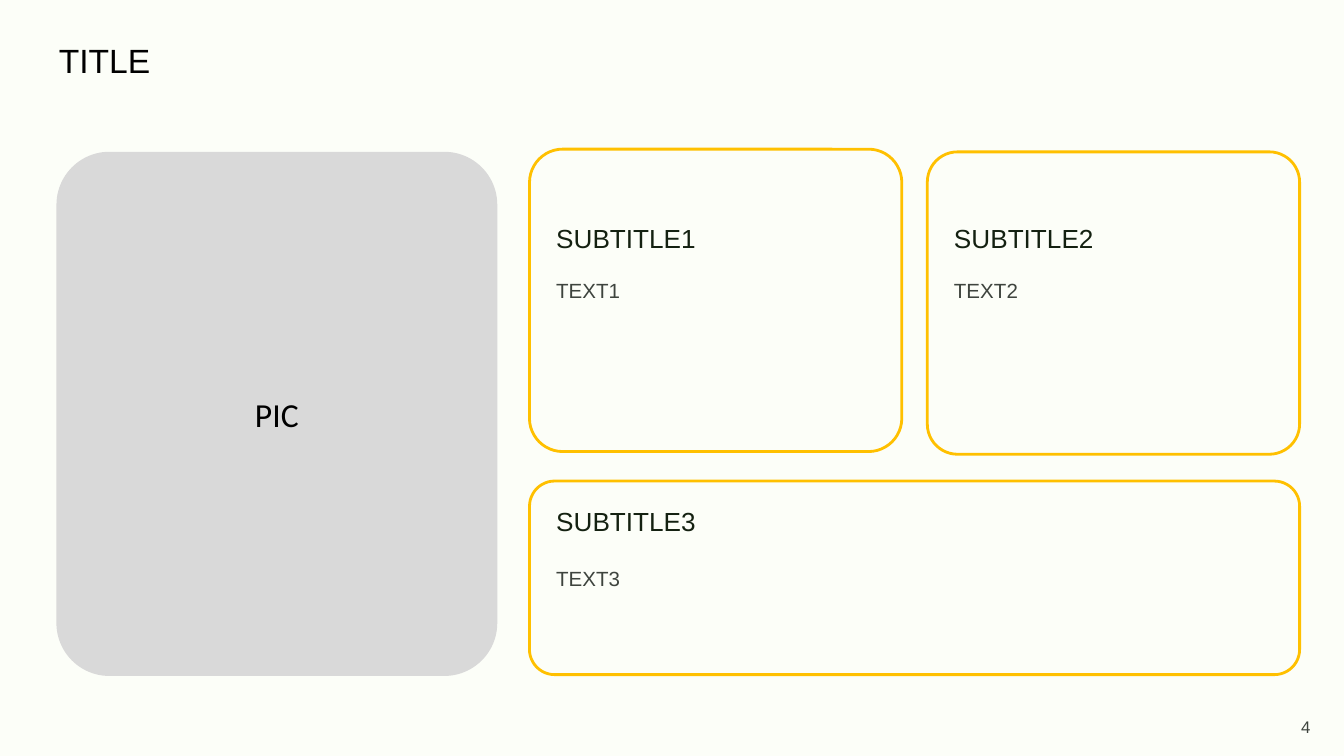
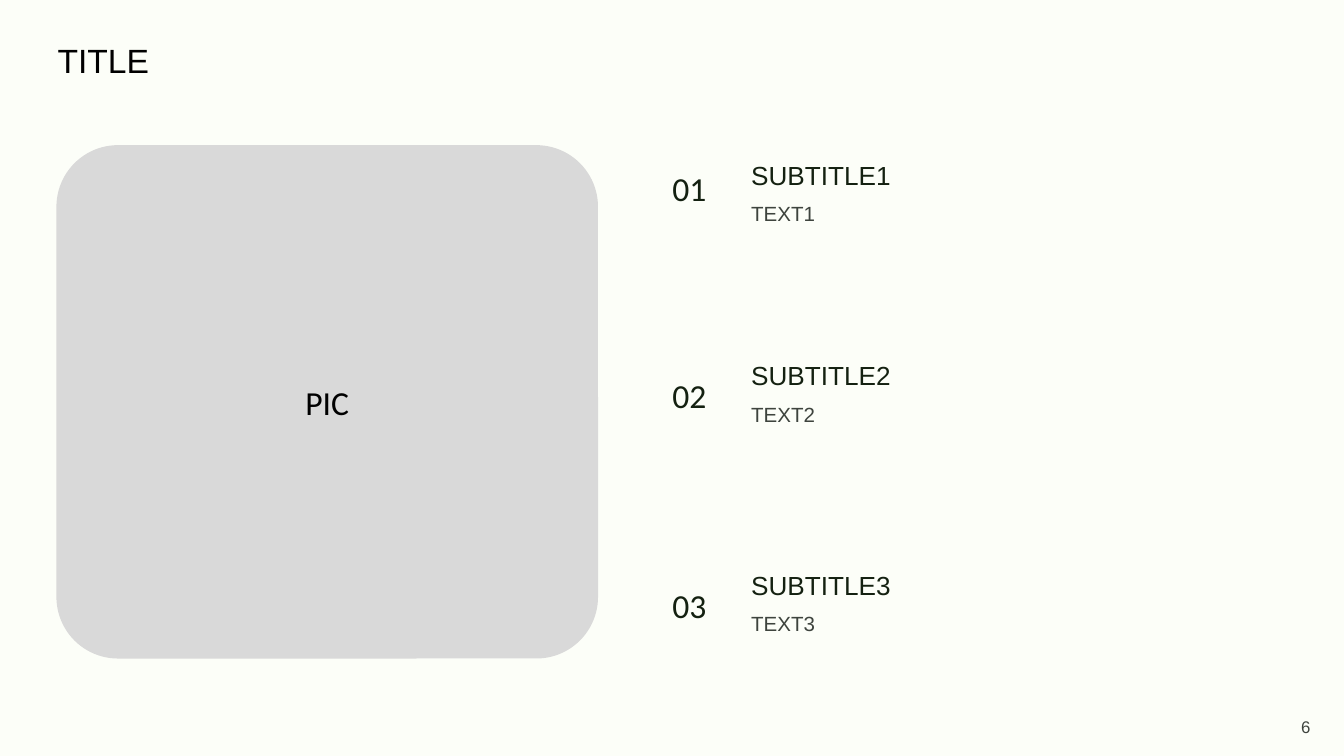
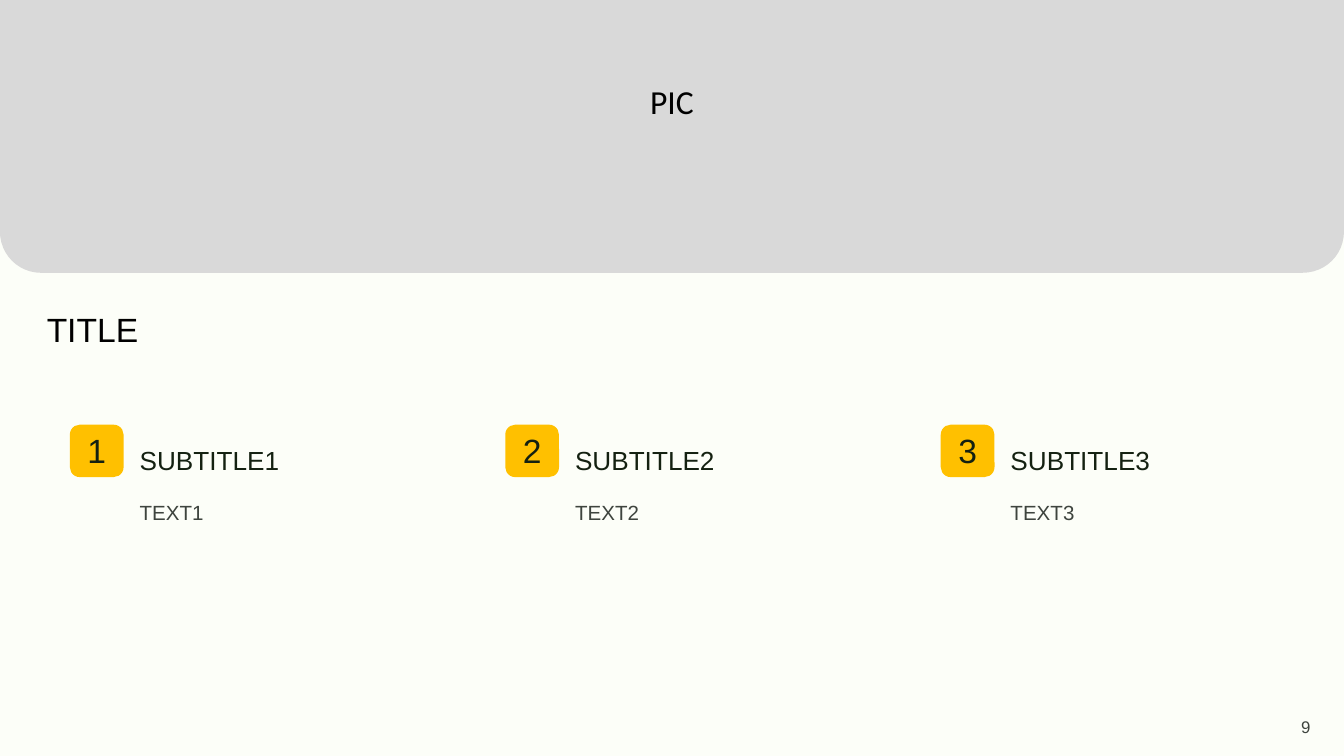
from dataclasses import dataclass

from pptx import Presentation
from pptx.dml.color import RGBColor
from pptx.enum import shapes, text
from pptx.util import Inches, Pt

SHAPE = shapes.MSO_SHAPE
ALIGN = text.PP_ALIGN
ANCHOR = text.MSO_ANCHOR


@dataclass(frozen=True)
class Theme:
    paper: str = "FCFEF8"
    gold: str = "FFC000"
    gray: str = "D9D9D9"
    black: str = "000000"
    dark: str = "142111"
    soft: str = "3E443E"
    sans: str = "Arial"
    label: str = "Calibri"
    big: int = 18
    head: int = 14
    body: int = 11
    small: int = 9
    line: float = 1.5


T = Theme()


def rgb(color):
    return RGBColor.from_string(color)


def write(frame, words, size, color, font=T.sans, align=ALIGN.LEFT,
          anchor=ANCHOR.TOP, grow=False):
    frame.text = words
    frame.word_wrap = True
    frame.vertical_anchor = anchor
    if grow:
        frame.auto_size = text.MSO_AUTO_SIZE.SHAPE_TO_FIT_TEXT
    para = frame.paragraphs[0]
    para.alignment = align
    run = para.runs[0].font
    run.size, run.name = Pt(size), font
    run.color.rgb = rgb(color)


def label(slide, box, words, size, color, **style):
    item = slide.shapes.add_textbox(*map(Inches, box))
    write(item.text_frame, words, size, color, **style)


def block(slide, kind, box, fill=None, line=None, curve=None):
    item = slide.shapes.add_shape(kind, *map(Inches, box))
    item.shadow.inherit = False
    if curve is not None:
        item.adjustments[0] = curve
    if fill:
        item.fill.solid()
        item.fill.fore_color.rgb = rgb(fill)
    else:
        item.fill.background()
    if line:
        item.line.color.rgb = rgb(line)
        item.line.width = Pt(T.line)
    else:
        item.line.fill.background()
    return item


def photo(slide, box):
    """Gray rounded panel that holds the place of a photo."""
    item = block(slide, SHAPE.ROUNDED_RECTANGLE, box, fill=T.gray, curve=0.12)
    write(item.text_frame, "PIC", T.big, T.black, font=T.label,
          align=ALIGN.CENTER, anchor=ANCHOR.MIDDLE)


def topic(slide, num, box, head, drop):
    """Subtitle of height head at the top of box, with its text drop below."""
    left, top, width, height = box
    label(slide, (left, top, width, head), f"SUBTITLE{num}", T.head, T.dark,
          anchor=ANCHOR.BOTTOM)
    label(slide, (left, top + drop, width, height - drop), f"TEXT{num}",
          T.body, T.soft)


def card(slide, num, box, curve, pad, head, drop):
    left, top, width, height = box
    block(slide, SHAPE.ROUNDED_RECTANGLE, box, line=T.gold, curve=curve)
    inner = (left + 0.1, top + pad, width - 0.2, height - pad - 0.1)
    topic(slide, num, inner, head, drop)


def step(slide, num, box):
    left, top, width, height = box
    ring = block(slide, SHAPE.OVAL, (left, top, 0.98, 0.98))
    write(ring.text_frame, f"{num:02}", T.big, T.dark, font=T.label,
          align=ALIGN.CENTER, anchor=ANCHOR.MIDDLE)
    # The first ring sits a little higher beside its subtitle.
    rise = 0.04 if num == 1 else 0.09
    inner = (left + 0.85, top - rise, width - 0.85, height)
    topic(slide, num, inner, 0.6, 0.58)


def column(slide, num, box):
    left, top, width, height = box
    block(slide, SHAPE.ROUNDED_RECTANGLE, (left, top + 0.35, 0.4, 0.39),
          fill=T.gold, curve=0.19)
    label(slide, (left, top + 0.34, 0.4, 0.4), str(num), T.big, T.dark,
          align=ALIGN.CENTER, grow=True)
    topic(slide, num, (left + 0.42, top, width - 0.42, height), 0.78, 0.86)


def frame(deck, page, box):
    """Add a slide with its title in box and its page number."""
    slide = deck.slides.add_slide(deck.slide_layouts[6])
    label(slide, box, "TITLE", T.big, T.black)
    label(slide, (9.32, 5.28, 0.53, 0.25), str(page), T.small, T.soft,
          align=ALIGN.RIGHT, grow=True)
    return slide


def cards(deck):
    slide = frame(deck, 4, (0.34, 0.25, 9.25, 0.75))
    photo(slide, (0.42, 1.13, 3.28, 3.9))
    card(slide, 3, (3.94, 3.58, 5.73, 1.44), 0.13, 0.1, 0.36, 0.48)
    card(slide, 2, (6.9, 1.13, 2.77, 2.25), 0.1, 0.03, 0.78, 0.86)
    card(slide, 1, (3.94, 1.11, 2.77, 2.25), 0.11, 0.05, 0.78, 0.86)


def steps(deck):
    slide = frame(deck, 6, (0.33, 0.25, 9.42, 0.75))
    photo(slide, (0.42, 1.08, 4.03, 3.82))
    for num, top in enumerate((0.91, 2.45, 4.01), 1):
        step(slide, num, (4.64, top, 4.97, 1.45))


def columns(deck):
    slide = frame(deck, 9, (0.25, 2.25, 9.5, 0.75))
    photo(slide, (0, -0.52, 10, 2.55))
    for num in range(1, 4):
        left = 0.52 + 3.24 * (num - 1)
        column(slide, num, (left, 2.81, min(3, 9.93 - left), 2.57))


def main():
    deck = Presentation()
    deck.slide_width = Inches(10)
    deck.slide_height = deck.slide_width * 9 // 16
    paper = deck.slide_master.background.fill
    paper.solid()
    paper.fore_color.rgb = rgb(T.paper)
    for build in (cards, steps, columns):
        build(deck)
    deck.save("out.pptx")


if __name__ == "__main__":
    main()
